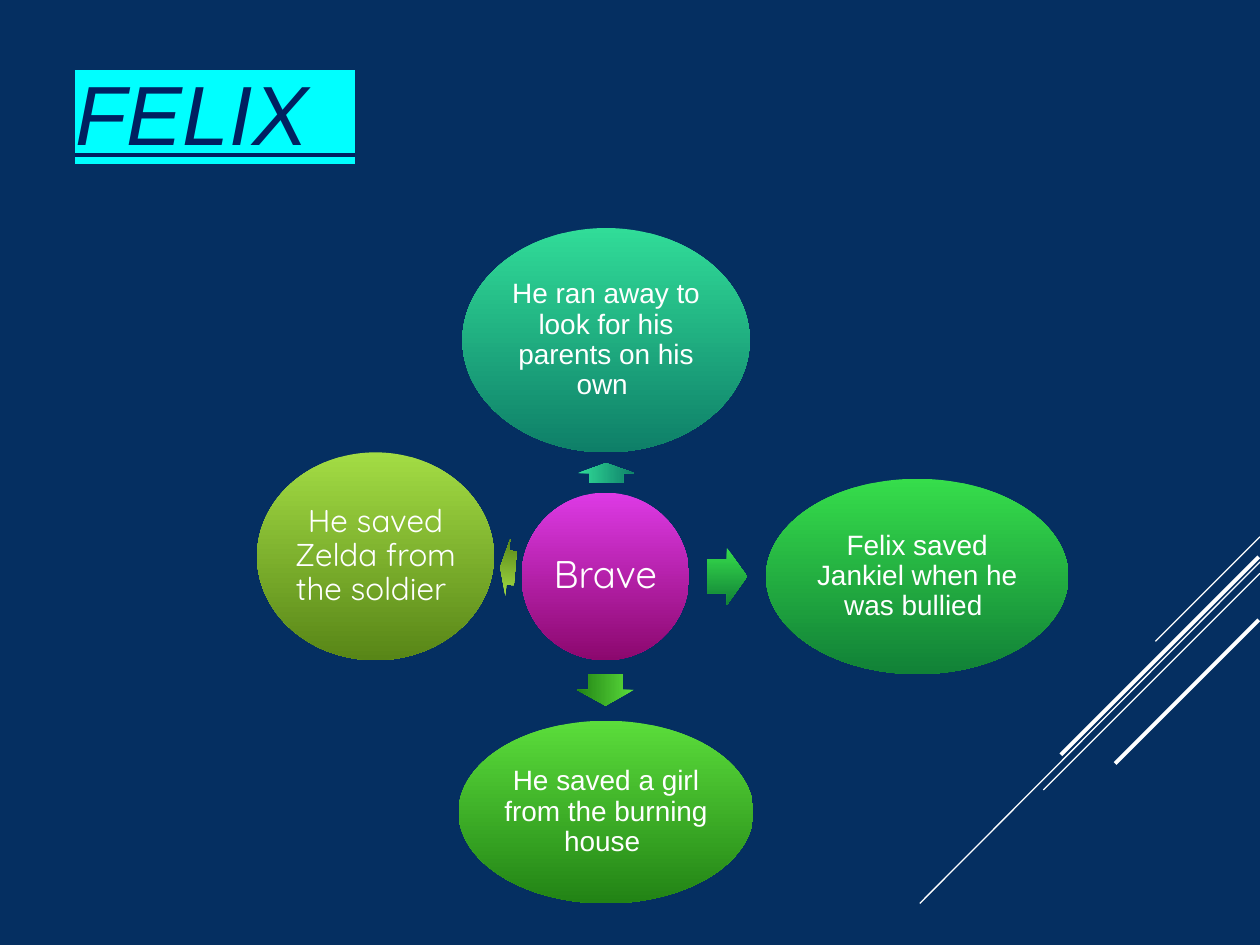
"""Build the Felix character slide: a central trait with four examples around it."""
from dataclasses import dataclass

from lxml.etree import SubElement
from pptx import Presentation
from pptx.dml.color import RGBColor
from pptx.enum.shapes import MSO_CONNECTOR as Connector, MSO_SHAPE as Shape
from pptx.enum.text import MSO_ANCHOR as Anchor, PP_ALIGN as Align
from pptx.oxml.ns import qn
from pptx.util import Inches, Pt


@dataclass(frozen=True)
class Theme:
    background: str = "052F61"
    light: str = "FFFFFF"
    title: str = "002060"
    highlight: str = "00FFFF"
    purple: tuple = ("DD3AE5", "8C086E")
    teal: tuple = ("31DC98", "0E7F68")
    green: tuple = ("36DD4B", "118137")
    leaf: tuple = ("5BDD3B", "228315")
    lime: tuple = ("A3DC44", "588617")
    plain_font: str = "Arial"
    round_font: str = "Quicksand"
    title_size: int = 48
    trait_size: int = 22
    large_size: int = 18
    body_size: int = 16


THEME = Theme()
STREAKS = [
    ((10, 4.26), (9.17, 5.09), 0.75),
    ((10, 4.46), (7.3, 7.17), 0.75),
    ((10, 4.55), (8.28, 6.27), 0.75),
    ((9.99, 4.42), (8.42, 5.99), 2.25),
    ((9.99, 4.92), (8.85, 6.06), 2.25),
]
EXAMPLES = [
    ("He ran away to look for his parents on his own ", (3.67, 1.81, 2.28, 1.78),
     (4.73, 3.53, 0.16, 0.45), 270, THEME.teal, THEME.plain_font, THEME.body_size),
    ("Felix saved Jankiel when he was bullied ", (6.08, 3.8, 2.4, 1.55),
     (5.61, 4.35, 0.32, 0.45), 0, THEME.green, THEME.plain_font, THEME.body_size),
    ("He saved a girl from the burning house ", (3.64, 5.72, 2.34, 1.45),
     (4.68, 5.25, 0.25, 0.45), 90, THEME.leaf, THEME.plain_font, THEME.body_size),
    ("He saved Zelda from the soldier ", (2.04, 3.59, 1.88, 1.65),
     (3.97, 4.28, 0.12, 0.45), 184.9, THEME.lime, THEME.round_font, THEME.large_size),
]


def inches(values):
    return [Inches(value) for value in values]


def style_font(font, name, size, color):
    font.name = name
    font.size = Pt(size)
    font.color.rgb = RGBColor.from_string(color)


def add_streak(slide, start, end, width):
    line = slide.shapes.add_connector(Connector.STRAIGHT, *inches(start + end))
    line.line.color.rgb = RGBColor.from_string(THEME.light)
    line.line.width = Pt(width)
    SubElement(line._element.spPr, qn("a:effectLst"))


def add_title(slide, text):
    box = slide.shapes.add_textbox(*inches((0.5, 0.3, 8.09, 1.11)))
    frame = box.text_frame
    frame.word_wrap = True
    frame.vertical_anchor = Anchor.MIDDLE
    frame.margin_top = Inches(0.12)
    run = frame.paragraphs[0].add_run()
    run.text = text
    style_font(run.font, THEME.plain_font, THEME.title_size, THEME.title)
    run.font.italic = True
    run.font.underline = True
    properties = run._r.get_or_add_rPr()
    highlight = SubElement(properties, qn("a:highlight"))
    SubElement(highlight, qn("a:srgbClr"), val=THEME.highlight)
    properties.find(qn("a:solidFill")).addnext(highlight)


def add_gradient_shape(slide, kind, place, colors):
    shape = slide.shapes.add_shape(kind, *inches(place))
    shape.shadow.inherit = False
    shape.line.fill.background()
    shape.fill.gradient()
    shape.fill.gradient_angle = 270
    for stop, position, color in zip(shape.fill.gradient_stops, (0, 1), colors):
        stop.position = position
        stop.color.rgb = RGBColor.from_string(color)
    return shape


def add_bubble(slide, text, place, colors, font, size, margin=0.02):
    bubble = add_gradient_shape(slide, Shape.OVAL, place, colors)
    frame = bubble.text_frame
    frame.word_wrap = True
    frame.vertical_anchor = Anchor.MIDDLE
    frame.margin_left = frame.margin_right = Inches(margin)
    frame.margin_top = frame.margin_bottom = Inches(margin)
    paragraph = frame.paragraphs[0]
    paragraph.text = text
    paragraph.alignment = Align.CENTER
    paragraph.line_spacing = 0.9
    style_font(paragraph.font, font, size, THEME.light)


def add_arrow(slide, place, rotation, colors):
    arrow = add_gradient_shape(slide, Shape.RIGHT_ARROW, place, colors)
    arrow.adjustments[0] = 0.6
    arrow.adjustments[1] = 0.5
    arrow.rotation = rotation


def main():
    presentation = Presentation()
    presentation.slide_width, presentation.slide_height = inches((10, 7.5))
    slide = presentation.slides.add_slide(presentation.slide_layouts[6])
    slide.background.fill.solid()
    slide.background.fill.fore_color.rgb = RGBColor.from_string(THEME.background)
    for start, end, width in STREAKS:
        add_streak(slide, start, end, width)
    add_title(slide, "FELIX  ")
    add_bubble(slide, "Brave", (4.14, 3.91, 1.33, 1.33), THEME.purple,
               THEME.round_font, THEME.trait_size, margin=0.03)
    for text, place, arrow_place, rotation, colors, font, size in EXAMPLES:
        add_arrow(slide, arrow_place, rotation, colors)
        add_bubble(slide, text, place, colors, font, size)
    presentation.save("out.pptx")


if __name__ == "__main__":
    main()
